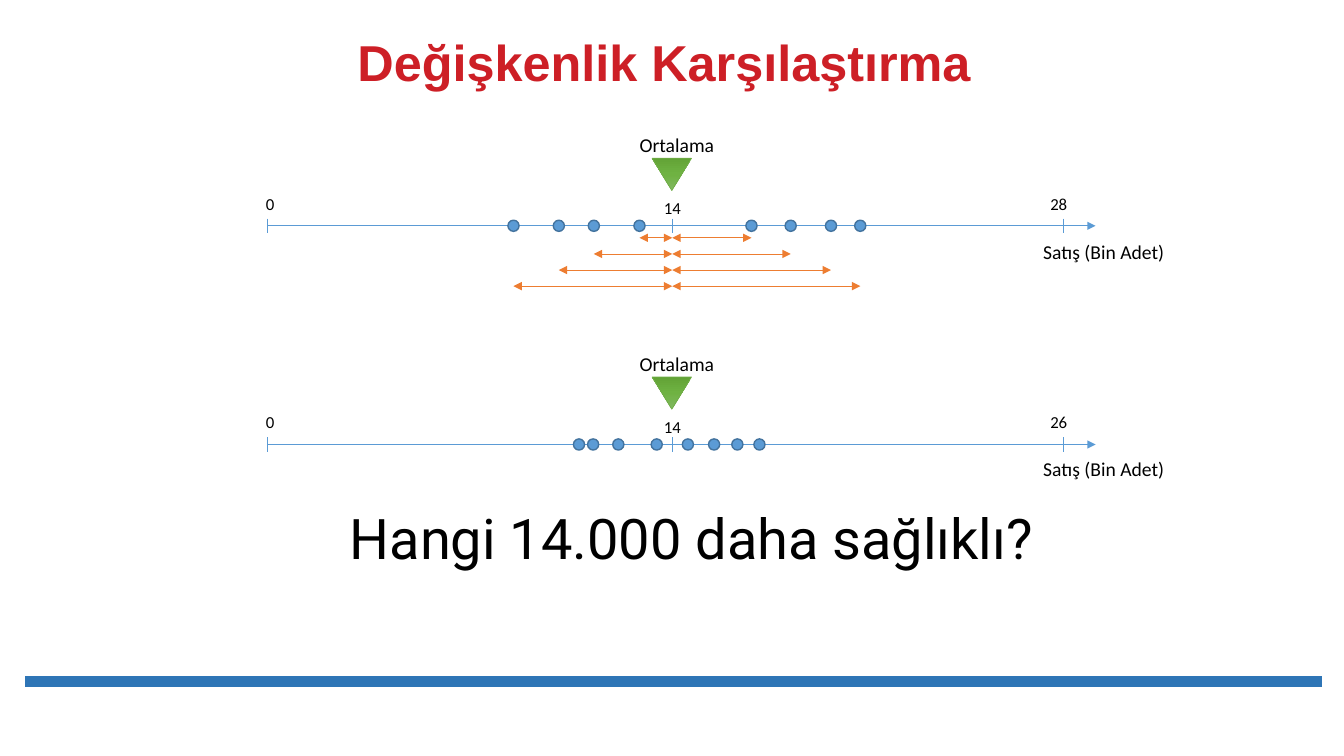
from copy import deepcopy

from lxml.etree import SubElement
from pptx import Presentation
from pptx.dml.color import RGBColor
from pptx.enum.shapes import MSO_CONNECTOR as CONN, MSO_SHAPE as SHAPE
from pptx.enum.text import MSO_ANCHOR as ANCHOR, PP_ALIGN as ALIGN
from pptx.oxml.ns import qn
from pptx.util import Pt

RED = RGBColor(0xCD, 0x1F, 0x26)
BLACK = RGBColor(0, 0, 0)
BAR_BLUE = RGBColor(0x2E, 0x75, 0xB6)
BLUE = RGBColor(0x5B, 0x9B, 0xD5)
DOT_EDGE = RGBColor(0x43, 0x73, 0x9E)
ORANGE = RGBColor(0xED, 0x7D, 0x31)
GREEN = RGBColor(0x70, 0xAD, 0x47)
GREENS = [RGBColor(0x81, 0xB8, 0x61), RGBColor(0x6F, 0xB2, 0x42),
          RGBColor(0x62, 0xA3, 0x36)]

AXIS_LEFT, AXIS_RIGHT, MEAN_X, MAX_X = 191.3, 782.6, 480.2, 759.6
DOT = 8

prs = Presentation()
prs.slide_width, prs.slide_height = Pt(960), Pt(540)
s = prs.slides.add_slide(prs.slide_layouts[6])


def add_text(text, x, y, w, h, size, font="Calibri", color=BLACK):
    tb = s.shapes.add_textbox(Pt(x), Pt(y), Pt(w), Pt(h))
    tf = tb.text_frame
    tf.word_wrap = False
    tf.text = text
    p = tf.paragraphs[0]
    p.alignment = ALIGN.CENTER
    f = p.runs[0].font
    f.size, f.name, f.color.rgb = Pt(size), font, color
    return tf


def add_line(x1, y1, x2, y2, color, width=0.5, arrows=()):
    c = s.shapes.add_connector(CONN.STRAIGHT, Pt(x1), Pt(y1), Pt(x2), Pt(y2))
    c.line.color.rgb, c.line.width = color, Pt(width)
    for end in arrows:
        SubElement(c.line._get_or_add_ln(), qn("a:" + end), type="triangle")
    SubElement(c._element.spPr, qn("a:effectLst"))


# Bottom bar and title
add_line(18, 486.7, 944.6, 486.7, BAR_BLUE, 8)
tf = add_text("Değişkenlik Karşılaştırma", 114.5, 16.6, 720, 53.3, 36, "Arial", RED)
tf.word_wrap = True
tf.vertical_anchor = ANCHOR.BOTTOM
tf.paragraphs[0].line_spacing = 0.9
tf.paragraphs[0].runs[0].font.bold = True

# Two number lines: axis height, maximum, unit label top, dot centres
wide_dots = [366.8, 399.2, 424.2, 456.8, 536.8, 564.8, 593.6, 614.5]
narrow_dots = [413.6, 423.7, 441.7, 469.1, 491.4, 510.1, 526.7, 542.5]
number_lines = [(161.3, "28", 167.8, wide_dots),
                (317.5, "26", 322.6, narrow_dots)]

for axis_y, maximum, unit_y, dots in number_lines:
    # Axis, ticks and labels
    add_text("Satış (Bin Adet)", 737.3, unit_y, 102.2, 24.2, 14)
    add_line(AXIS_LEFT, axis_y, AXIS_RIGHT, axis_y, BLUE, arrows=["tailEnd"])
    for x in (AXIS_LEFT, MEAN_X, MAX_X):
        add_line(x, axis_y - 5.2, x, axis_y + 5.2, BLUE)
    add_text("0", 176.4, axis_y - 26.6, 33.1, 21.8, 12)
    add_text("14", 467, axis_y - 23.7, 26.6, 21.8, 12)
    add_text(maximum, 743, axis_y - 26.6, 26.6, 21.8, 12)

    # Observations
    for x in dots:
        dot = s.shapes.add_shape(SHAPE.OVAL, Pt(x - DOT / 2),
                                 Pt(axis_y - DOT / 2), Pt(DOT), Pt(DOT))
        dot.shadow.inherit = False
        dot.fill.solid()
        dot.fill.fore_color.rgb = BLUE
        dot.line.color.rgb, dot.line.width = DOT_EDGE, Pt(1)

    # Mean marker
    add_text("Ortalama", 449.3, axis_y - 69.8, 68.4, 24.2, 14)
    marker = s.shapes.add_shape(SHAPE.ISOSCELES_TRIANGLE, Pt(465.8),
                                Pt(axis_y - 48.2), Pt(28.1), Pt(23))
    marker.rotation = 180
    marker.shadow.inherit = False
    marker.line.color.rgb, marker.line.width = GREEN, Pt(0.5)
    marker.fill.gradient()
    marker.fill.gradient_angle = 270
    stops = marker._element.spPr.find(qn("a:gradFill")).find(qn("a:gsLst"))
    stops.insert(1, deepcopy(stops[0]))
    for i, stop in enumerate(marker.fill.gradient_stops):
        stop.color.rgb, stop.position = GREENS[i], i / 2

# Deviations from the mean, innermost pair of dots first
for i in range(4):
    y = 169.9 + 11.5 * i
    for x1, x2 in ((wide_dots[3 - i], MEAN_X), (MEAN_X, wide_dots[4 + i])):
        add_line(x1, y, x2, y, ORANGE, arrows=["headEnd", "tailEnd"])

# Closing question
add_text("Hangi 14.000 daha sağlıklı?", 236.2, 356.4, 515.5, 55.4, 40, "Roboto")

prs.save("out.pptx")
